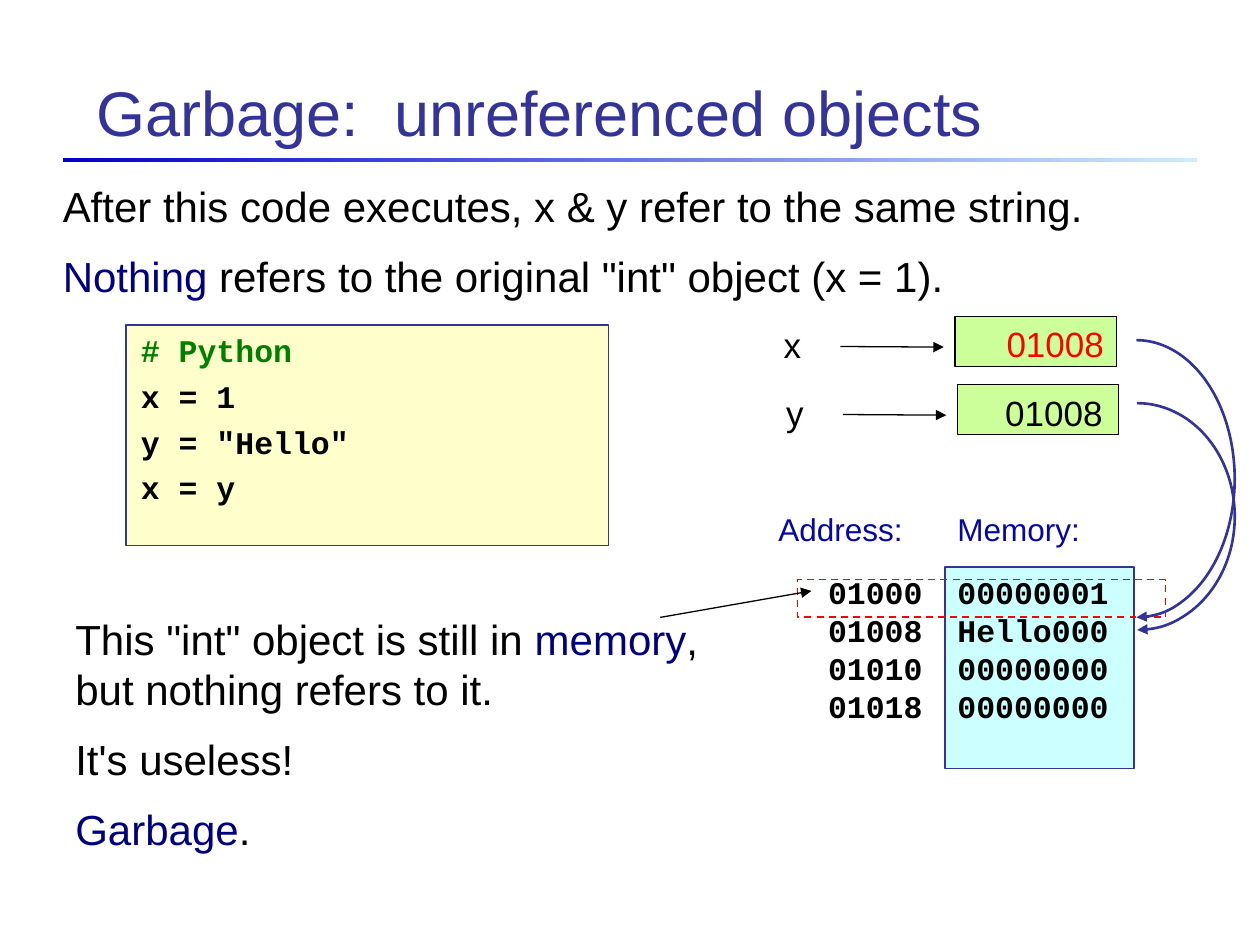
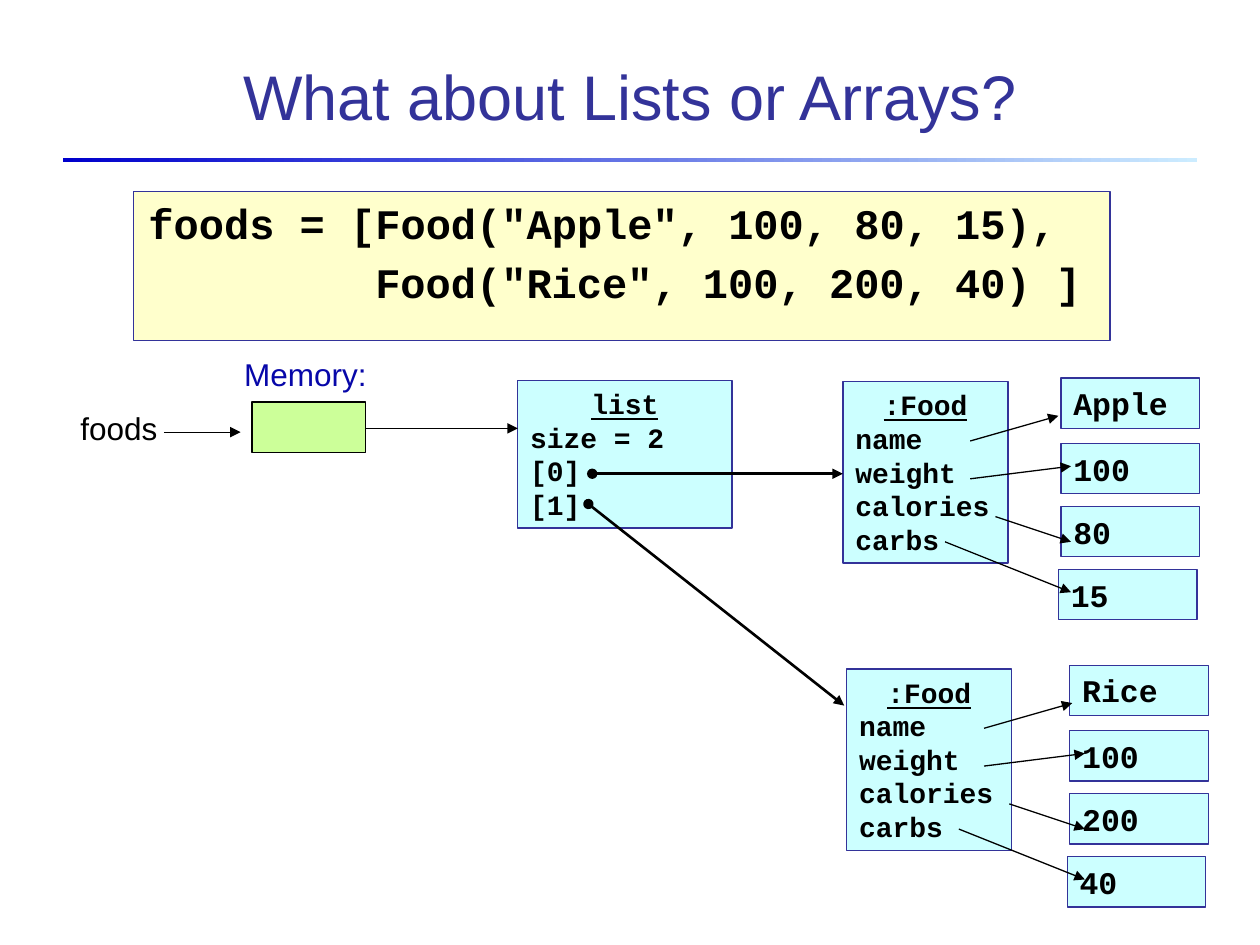
from dataclasses import dataclass

from lxml import etree
from pptx import Presentation
from pptx.dml.color import RGBColor
from pptx.enum.dml import MSO_LINE
from pptx.enum.shapes import MSO_CONNECTOR, MSO_SHAPE
from pptx.enum.text import MSO_ANCHOR, PP_ALIGN
from pptx.oxml.ns import qn
from pptx.util import Inches, Pt

RECTANGLE, ARC = MSO_SHAPE.RECTANGLE, MSO_SHAPE.ARC
STRAIGHT = MSO_CONNECTOR.STRAIGHT
DASH = MSO_LINE.DASH
LEFT, CENTER, RIGHT = PP_ALIGN.LEFT, PP_ALIGN.CENTER, PP_ALIGN.RIGHT
TOP, MIDDLE, BOTTOM = MSO_ANCHOR.TOP, MSO_ANCHOR.MIDDLE, MSO_ANCHOR.BOTTOM

# The slide is a grid of 100 columns by 75 rows of square cells
SLIDE_WIDTH, SLIDE_HEIGHT = Inches(10), Inches(7.5)
CELL = SLIDE_WIDTH // 100


@dataclass(frozen=True)
class Theme:
    sans: str = "Arial"
    mono: str = "Courier New"
    black: str = "000000"
    red: str = "FF0000"
    comment: str = "008000"
    accent: str = "333399"
    keyword: str = "000080"
    label: str = "0707A9"
    code_fill: str = "FFFFCC"
    variable_fill: str = "CCFF99"
    memory_fill: str = "CCFFFF"
    rule_start: str = "0000CC"
    rule_end: str = "CCECFF"
    title_size: float = 36
    body_size: float = 24
    variable_size: float = 20
    small_size: float = 18
    object_size: float = 16
    body_gap: float = 11.2
    code_gap: float = 4.5
    thin: float = 0.75
    thick: float = 1.5


THEME = Theme()


@dataclass(frozen=True)
class Box:
    left: float
    top: float
    width: float
    height: float

    def area(self, column, row, width, height):
        return Box(self.left + column, self.top + row, width, height)

    def point(self, column, row):
        return self.left + column, self.top + row

    def lengths(self):
        return [cells(n) for n in (self.left, self.top, self.width, self.height)]


def cells(count):
    return round(count * CELL)


def rgb(color):
    return RGBColor.from_string(color)


# ---- Building blocks ----

def write(shape, paragraphs, size, font=THEME.sans, color=THEME.black, bold=False,
          align=LEFT, anchor=TOP, gap=0, indent=0):
    """Each paragraph is a string or a list of (text, color) runs."""
    frame = shape.text_frame
    frame.word_wrap = True
    frame.vertical_anchor = anchor
    for index, content in enumerate(paragraphs):
        paragraph = frame.add_paragraph() if index else frame.paragraphs[0]
        paragraph.alignment = align
        paragraph.space_before = Pt(gap)
        if indent:
            paragraph._p.get_or_add_pPr().set("marL", str(cells(indent)))
        runs = [(content, color)] if isinstance(content, str) else content
        for text, run_color in runs:
            run = paragraph.add_run()
            run.text = text
            run.font.name, run.font.size, run.font.bold = font, Pt(size), bold
            run.font.color.rgb = rgb(run_color)
    return shape


def add_text(slide, box, paragraphs, size, **style):
    return write(slide.shapes.add_textbox(*box.lengths()), paragraphs, size, **style)


def add_box(slide, box, fill=None, line=THEME.accent, width=THEME.thin, preset=RECTANGLE):
    shape = slide.shapes.add_shape(preset, *box.lengths())
    shape.shadow.inherit = False
    if fill:
        shape.fill.solid()
        shape.fill.fore_color.rgb = rgb(fill)
    else:
        shape.fill.background()
    shape.line.color.rgb = rgb(line)
    shape.line.width = Pt(width)
    return shape


def set_line_ends(shape, head=None):
    properties = shape._element.spPr.find(qn("a:ln"))
    if head:
        etree.SubElement(properties, qn("a:headEnd"), type=head)
    etree.SubElement(properties, qn("a:tailEnd"), type="triangle")


def add_arrow(slide, start, end, width=THEME.thin, head=None):
    arrow = slide.shapes.add_connector(STRAIGHT, *[cells(n) for n in (*start, *end)])
    arrow.line.color.rgb = rgb(THEME.black)
    arrow.line.width = Pt(width)
    set_line_ends(arrow, head)
    etree.SubElement(arrow._element.spPr, qn("a:effectLst"))


def add_curved_arrow(slide, box):
    arc = add_box(slide, box, width=THEME.thick, preset=ARC)
    arc.adjustments[0], arc.adjustments[1] = 162, 54  # top to bottom, clockwise
    set_line_ends(arc)


# ---- Regions shared by the slides ----

def new_slide(presentation, title, title_box, align, anchor):
    slide = presentation.slides.add_slide(presentation.slide_layouts[6])
    rule = slide.shapes.add_shape(RECTANGLE, *Box(5, 12.5, 90, 0.35).lengths())
    rule.shadow.inherit = False
    rule.line.fill.background()
    rule.fill.gradient()
    rule.fill.gradient_angle = 0
    for stop, color in zip(rule.fill.gradient_stops, (THEME.rule_start, THEME.rule_end)):
        stop.color.rgb = rgb(color)
    add_text(slide, title_box, [title], THEME.title_size,
             color=THEME.accent, align=align, anchor=anchor)
    return slide


def code_box(slide, box, lines, size):
    shape = add_box(slide, box, THEME.code_fill)
    return write(shape, lines, size, font=THEME.mono, bold=True,
                 gap=THEME.code_gap, indent=0.2)


def column_label(slide, box, text):
    add_text(slide, box, [text], THEME.small_size, color=THEME.label, gap=THEME.body_gap)


def body_text(slide, box, paragraphs):
    add_text(slide, box, paragraphs, THEME.body_size, gap=THEME.body_gap)


# ---- Regions of the garbage slide ----

def reference(slide, box, name, address, color, text_indent, text_drop):
    """A variable name with an arrow to the cell that holds its address."""
    add_text(slide, box.area(0, 0.1, 4.1, 4.4), [name], THEME.variable_size,
             gap=THEME.body_gap)
    add_arrow(slide, box.point(5.5, 2.4), box.point(13.7, 2.45))
    add_box(slide, box.area(14.6, 0, 12.8, 4), THEME.variable_fill, THEME.black)
    add_text(slide, box.area(14.6 + text_indent, text_drop, 10.4, 4.4), [address],
             THEME.variable_size, color=color)


def memory_table(slide, box, rows):
    addresses, values = zip(*rows)
    style = dict(size=THEME.small_size, font=THEME.mono, bold=True)
    write(add_box(slide, box.area(15.8, 5, 15, 16), THEME.memory_fill), values, **style)
    add_text(slide, box.area(0, 5, 15, 16), addresses, align=RIGHT, **style)
    column_label(slide, box.area(15.8, 0, 12.7, 4), "Memory:")
    column_label(slide, box.area(1.6, 0, 12.7, 4), "Address:")
    # Frame around the unreferenced row
    frame = add_box(slide, box.area(4.1, 6, 29.2, 3), line=THEME.red, width=1)
    frame.line.dash_style = DASH


def garbage_slide(presentation):
    slide = new_slide(presentation, "Garbage:  unreferenced objects",
                      Box(6.7, 2.8, 91.3, 9.5), LEFT, BOTTOM)
    code_box(slide, Box(10, 25.8, 38.3, 17.5),
             [[("# Python", THEME.comment)], "x = 1", 'y = "Hello"', "x = y"],
             THEME.small_size)
    reference(slide, Box(61.2, 25.1, 27.4, 4.4), "x", "01008", THEME.red, 3.1, 0)
    reference(slide, Box(61.4, 30.5, 27.4, 4.4), "y", "01008", THEME.black, 2.8, 0.1)
    body_text(slide, Box(4, 13.8, 91, 10.6), [
        "After this code executes, x & y refer to the same string.",
        [("Nothing", THEME.keyword),
         (' refers to the original "int" object (x = 1).', THEME.black)]])
    memory_table(slide, Box(59.2, 40, 33.3, 21), [
        ("01000", "00000001"), ("01008", "Hello000"),
        ("01010", "00000000"), ("01018", "00000000")])
    body_text(slide, Box(5, 48.2, 53, 20.2), [
        [('This "int" object is still in ', THEME.black), ("memory", THEME.keyword),
         (", but nothing refers to it.", THEME.black)],
        "It's useless!",
        [("Garbage", THEME.keyword), (".", THEME.black)]])
    # Both variables point at the same row of memory
    add_curved_arrow(slide, Box(82.5, 32, 15.5, 18))
    add_curved_arrow(slide, Box(82.4, 27, 15.6, 22))
    add_arrow(slide, (52.4, 49), (64.4, 46.9))


# ---- Regions of the lists slide ----

def object_box(slide, box, name, fields):
    shape = write(add_box(slide, box, THEME.memory_fill), [name, *fields],
                  THEME.object_size, font=THEME.mono, bold=True)
    heading = shape.text_frame.paragraphs[0]
    heading.alignment = CENTER
    heading.runs[0].font.underline = True


def food_object(slide, box, values, value_column, arrow_shift):
    """A Food object with an arrow from each attribute to its value."""
    object_box(slide, box, ":Food", ["name", "weight", "calories", "carbs"])
    value_places = [(0, -0.3), (0, 4.9), (0, 9.9), (-0.2, 14.9)]
    for value, (column, row) in zip(values, value_places):
        cell = add_box(slide, box.area(value_column + column, row, 11, 4),
                       THEME.memory_fill)
        write(cell, [value], THEME.small_size, font=THEME.mono, bold=True)
    arrow_ends = [(10.1, 4.7, 17.1, 2.7), (10.1, 7.7, 18.1, 6.7),
                  (12.1, 10.7, 18.1, 12.7), (8.1, 12.7, 18.1, 16.7)]
    for start_column, start_row, end_column, end_row in arrow_ends:
        add_arrow(slide, box.point(start_column + arrow_shift, start_row),
                  box.point(end_column + arrow_shift, end_row))


def foods_variable(slide, box):
    add_box(slide, box.area(14.6, 4.2, 9, 4), THEME.variable_fill, THEME.black)
    add_text(slide, box.area(0, 4.3, 8.8, 4), ["foods"], THEME.small_size,
             gap=THEME.body_gap)
    add_arrow(slide, box.point(7.6, 6.6), box.point(13.7, 6.6))
    column_label(slide, box.area(13, 0, 12.7, 4), "Memory:")


def lists_slide(presentation):
    slide = new_slide(presentation, "What about Lists or Arrays?",
                      Box(6.7, 2.8, 86.6, 9.5), CENTER, MIDDLE)
    code = code_box(slide, Box(10.6, 15.2, 77.5, 11.8),
                    ['foods = [Food("Apple", 100, 80, 15),',
                     'Food("Rice", 100, 200, 40) ]'], THEME.body_size)
    # Align the second item under the first: nine characters of two columns
    second_item = code.text_frame.paragraphs[1]._p.get_or_add_pPr()
    second_item.set("marL", str(cells(0.2 + 9 * 2)))
    foods_variable(slide, Box(5.4, 27.7, 25.7, 8.2))
    object_box(slide, Box(41.1, 30.2, 17, 11.7), "list", ["size = 2", "[0]", "[1]"])
    food_object(slide, Box(66.9, 30.3, 13.1, 14.4), ["Apple", "100", "80", "15"], 17.3, 0)
    food_object(slide, Box(67.2, 53.1, 13.1, 14.4), ["Rice", "100", "200", "40"], 17.7, 0.8)
    # References from the list to its items, and from the variable to the list
    add_arrow(slide, (46.7, 40), (67, 56), THEME.thick, "oval")
    add_arrow(slide, (47, 37.6), (66.9, 37.6), THEME.thick, "oval")
    add_arrow(slide, (29, 34), (41.1, 34))


def main():
    presentation = Presentation()
    presentation.slide_width, presentation.slide_height = SLIDE_WIDTH, SLIDE_HEIGHT
    garbage_slide(presentation)
    lists_slide(presentation)
    presentation.save("out.pptx")


if __name__ == "__main__":
    main()
